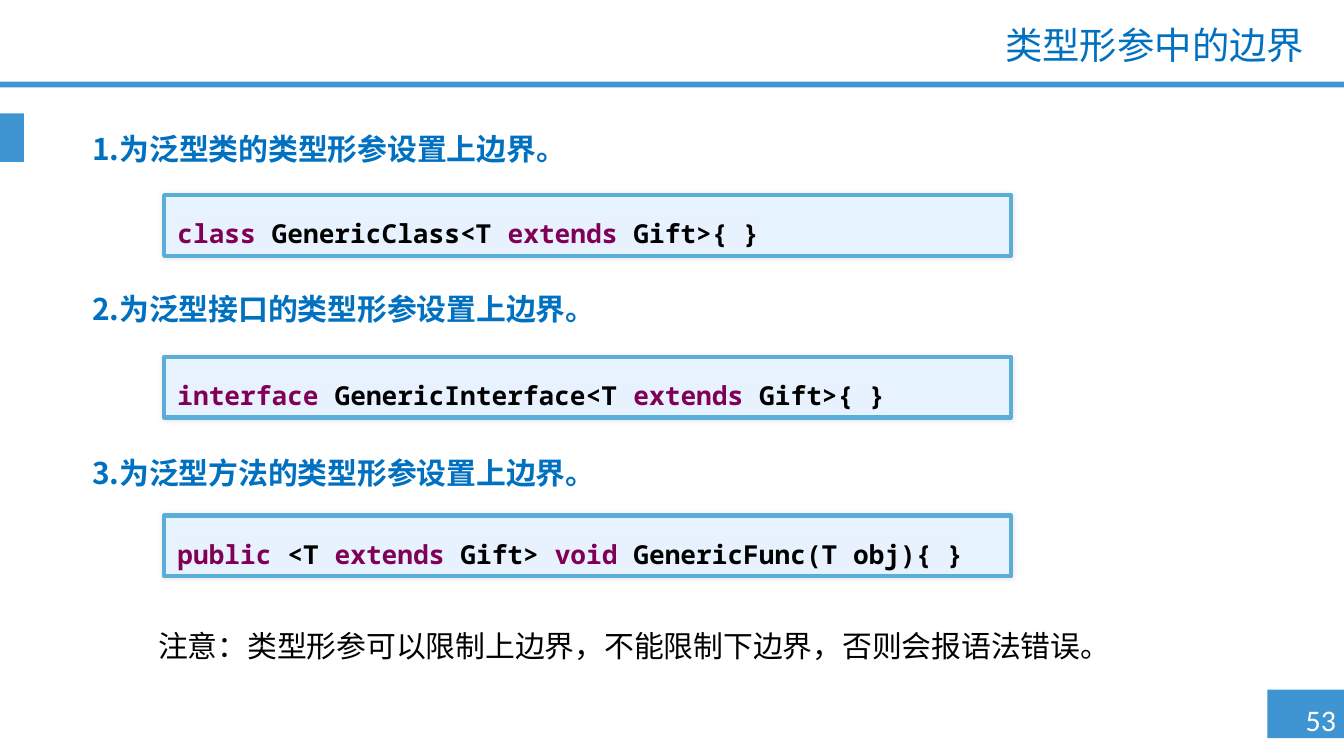
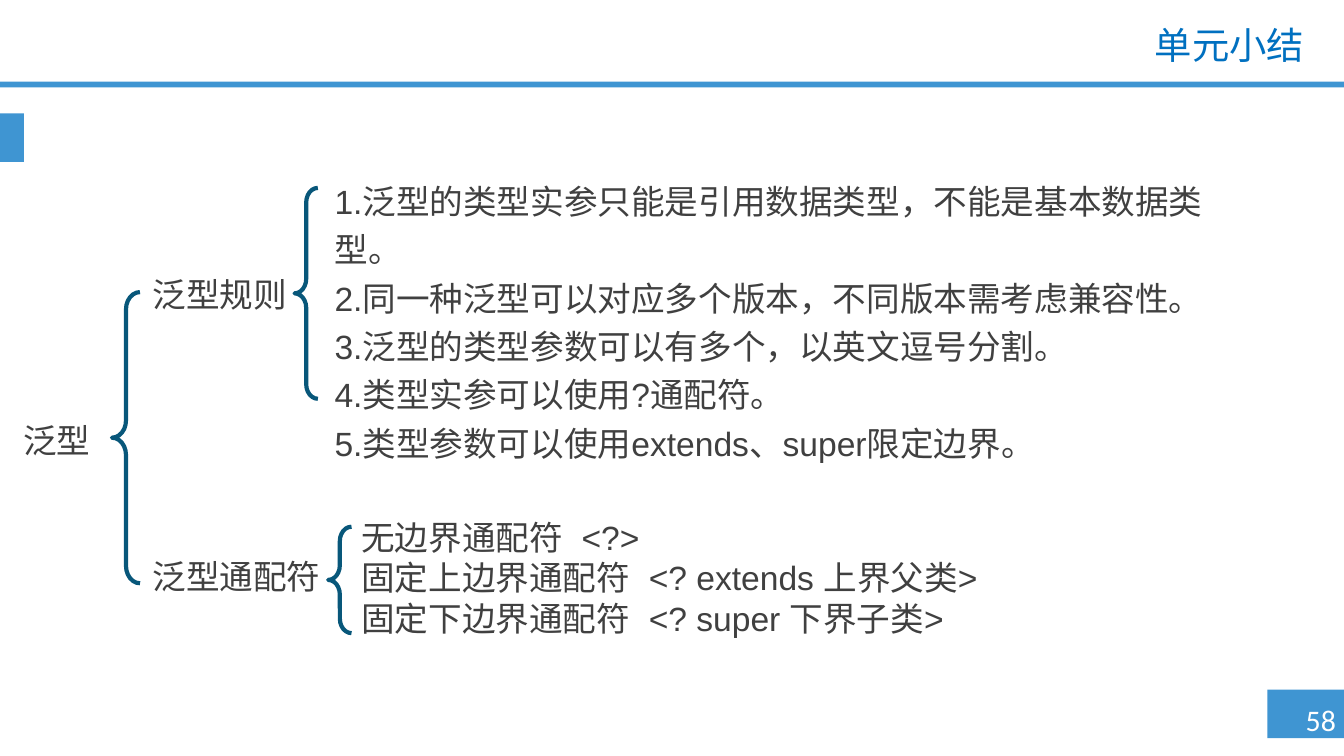
import pptx
import pptx.util
import pptx.dml.color
import pptx.enum.shapes
import pptx.enum.text
import pptx.oxml
import pptx.oxml.ns

Pt = pptx.util.Pt
ALIGN = pptx.enum.text.PP_ALIGN
ANCHOR = pptx.enum.text.MSO_ANCHOR
SHAPE = pptx.enum.shapes.MSO_SHAPE
WIDTH, HEIGHT = 720, 405

# Shared colours and text formats
BAND, BLUE, GREY, BLACK, WHITE = "3F95D2", "0070C0", "404040", "000000", "FFFFFF"
KEYWORD, CODE_FILL, CODE_LINE, HIGHLIGHT = "7F0055", "E7F4FF", "5AADD6", "E8F2FE"
BRACE = "08577A"
TITLE = {"name": "Arial", "size": Pt(20), "bold": False, "color": BLUE}
HEADING = {"name": "Noto Sans CJK SC", "size": Pt(16), "bold": True, "color": BLUE}
BODY = {"name": "Arial", "size": Pt(18), "bold": False, "color": GREY}
NOTE = {"name": "Arial", "size": Pt(16), "color": BLACK}
NUMBER = {"name": "Calibri", "size": Pt(16), "color": WHITE}
CODE = {"name": "Noto Sans Mono", "size": Pt(14), "bold": True, "color": BLACK}
CODE_KEYWORD = {**CODE, "color": KEYWORD}


def rgb(value):
    return pptx.dml.color.RGBColor.from_string(value)


def element(tag, inner="", **attributes):
    listed = " ".join(f'{key}="{value}"' for key, value in attributes.items())
    space = pptx.oxml.ns.nsdecls("a")
    return pptx.oxml.parse_xml(f"<a:{tag} {space} {listed}>{inner}</a:{tag}>")


class Deck:
    """Holds the style and the current page."""

    def __init__(self):
        self.deck = pptx.Presentation()
        self.deck.slide_width, self.deck.slide_height = Pt(WIDTH), Pt(HEIGHT)
        self.page = None

    def start_page(self, title, number):
        self.page = self.deck.slides.add_slide(self.deck.slide_layouts[1])
        # Bands: page number, title rule, left marker
        for place in ((679, 369.5, 41, 26), (0, 43.8, WIDTH, 3), (0, 60.7, 12.8, 26)):
            self.shape(SHAPE.RECTANGLE, place, fill=BAND)
        box = self.text((679, 372, 41, 27), [number], NUMBER,
                        align=ALIGN.RIGHT, anchor=ANCHOR.MIDDLE)
        box.text_frame.margin_right = Pt(4.3)
        self.fill_text(self.place(self.page.shapes.title, (173, 11, 533, 29)),
                       [title], TITLE, align=ALIGN.RIGHT, spacing=0.9,
                       anchor=ANCHOR.MIDDLE)

    def place(self, box, place):
        for name, length in zip(("left", "top", "width", "height"), place):
            setattr(box, name, Pt(length))
        return box

    def add_span(self, para, text, style):
        span = para.add_run()
        span.text = text
        for name, value in style.items():
            if name == "color":
                span.font.color.rgb = rgb(value)
            else:
                setattr(span.font, name, value)
        latin = span.font._element.find(pptx.oxml.ns.qn("a:latin"))
        latin.addnext(element("ea", typeface=style["name"]))
        return latin

    def fill_text(self, box, lines, style, align=ALIGN.LEFT, spacing=1.0,
                  anchor=ANCHOR.TOP):
        frame = box.text_frame
        frame_format = {"word_wrap": True, "vertical_anchor": anchor,
                        "auto_size": pptx.enum.text.MSO_AUTO_SIZE.NONE}
        for name, value in frame_format.items():
            setattr(frame, name, value)
        para_format = {"alignment": align, "line_spacing": spacing,
                       "space_before": Pt(0)}
        for index, line in enumerate(lines):
            para = frame.add_paragraph() if index else frame.paragraphs[0]
            for name, value in para_format.items():
                setattr(para, name, value)
            properties = para._p.get_or_add_pPr()
            properties.set("marL", "0")
            properties.set("indent", "0")
            properties.append(element("buNone"))
            self.add_span(para, line, style)
        return box

    def text(self, place, lines, style, **layout):
        box = self.page.shapes.add_textbox(*map(Pt, place))
        return self.fill_text(box, lines, style, **layout)

    def body(self, place, lines, style, **layout):
        box = self.place(self.page.placeholders[1], place)
        return self.fill_text(box, lines, style, **layout)

    def shape(self, kind, place, fill=None, line=None):
        box = self.page.shapes.add_shape(kind, *map(Pt, place))
        box.shadow.inherit = False
        if fill:
            box.fill.solid()
            box.fill.fore_color.rgb = rgb(fill)
        else:
            box.fill.background()
        if line:
            box.line.color.rgb = rgb(line)
            box.line.width = Pt(2.25)
        else:
            box.line.fill.background()
        return box

    def brace(self, place):
        box = self.shape(SHAPE.LEFT_BRACE, place, line=BRACE)
        box.adjustments[0] = 0.62

    def code(self, top, pieces):
        """Pieces alternate between keywords and plain code."""
        box = self.shape(SHAPE.ROUNDED_RECTANGLE, (88, top, 453.5, 32.5),
                         CODE_FILL, CODE_LINE)
        box.adjustments[0] = 0
        effects = box._element.spPr.find(pptx.oxml.ns.qn("a:effectLst"))
        tint = f'<a:srgbClr val="{BLACK}"><a:alpha val="10000"/></a:srgbClr>'
        effects.append(element("outerShdw", tint, blurRad=int(Pt(3)), dist=0, dir=0))
        box.text_frame.word_wrap = True
        box.text_frame.vertical_anchor = ANCHOR.MIDDLE
        para = box.text_frame.paragraphs[0]
        para.alignment = ALIGN.LEFT
        para.line_spacing = 1.5
        for index, piece in enumerate(pieces):
            latin = self.add_span(para, piece, CODE if index % 2 else CODE_KEYWORD)
            latin.addprevious(element("highlight", f'<a:srgbClr val="{HIGHLIGHT}"/>'))


def build_bounds(deck):
    deck.start_page("类型形参中的边界", "53")
    # Headings, each above its code: kind, heading top, code top, code
    sections = [
        ("类", 68.7, 104.5, ["class", " GenericClass<T ", "extends", " Gift>{ }"]),
        ("接口", 154.5, 191.2,
         ["interface", " GenericInterface<T ", "extends", " Gift>{ }"]),
        ("方法", 242, 276.2, ["public", " <T ", "extends", " Gift> ", "void",
                            " GenericFunc(T obj){ }"]),
    ]
    for index, (kind, heading_top, code_top, pieces) in enumerate(sections):
        write = deck.text if index else deck.body
        write((42.3, heading_top, 590, 28),
              [f"{index + 1}.为泛型{kind}的类型形参设置上边界。"], HEADING, spacing=0.9)
        deck.code(code_top, pieces)
    # Note
    deck.text((70.8, 332.5, 538.5, 26.5),
              ["注意：类型形参可以限制上边界，不能限制下边界，否则会报语法错误。"],
              NOTE, align=ALIGN.CENTER)


def build_summary(deck):
    deck.start_page("单元小结", "58")
    # Tree labels
    for label, place, align in (
            ("泛型", (0, 221, 61, 29), ALIGN.CENTER),
            ("泛型规则", (74.6, 143, 90, 29), ALIGN.LEFT),
            ("泛型通配符", (74.6, 294, 110, 29), ALIGN.LEFT)):
        deck.text(place, [label], BODY, align=align, anchor=ANCHOR.MIDDLE)
    # Braces
    for place in ((60, 156.5, 15, 156), (157.8, 100.7, 12.5, 113),
                  (175.8, 282.2, 12.5, 57)):
        deck.brace(place)
    # Rules and wildcards
    deck.body((172, 89, 494, 164), [
        "1.泛型的类型实参只能是引用数据类型，不能是基本数据类型。",
        "2.同一种泛型可以对应多个版本，不同版本需考虑兼容性。",
        "3.泛型的类型参数可以有多个，以英文逗号分割。",
        "4.类型实参可以使用?通配符。",
        "5.类型参数可以使用extends、super限定边界。",
    ], BODY, spacing=1.2)
    deck.text((186.5, 273.5, 374.5, 72.5), [
        "无边界通配符  <?>",
        "固定上边界通配符  <? extends 上界父类>",
        "固定下边界通配符  <? super 下界子类>",
    ], BODY)


def main():
    deck = Deck()
    build_bounds(deck)
    build_summary(deck)
    deck.deck.save("out.pptx")


if __name__ == "__main__":
    main()
